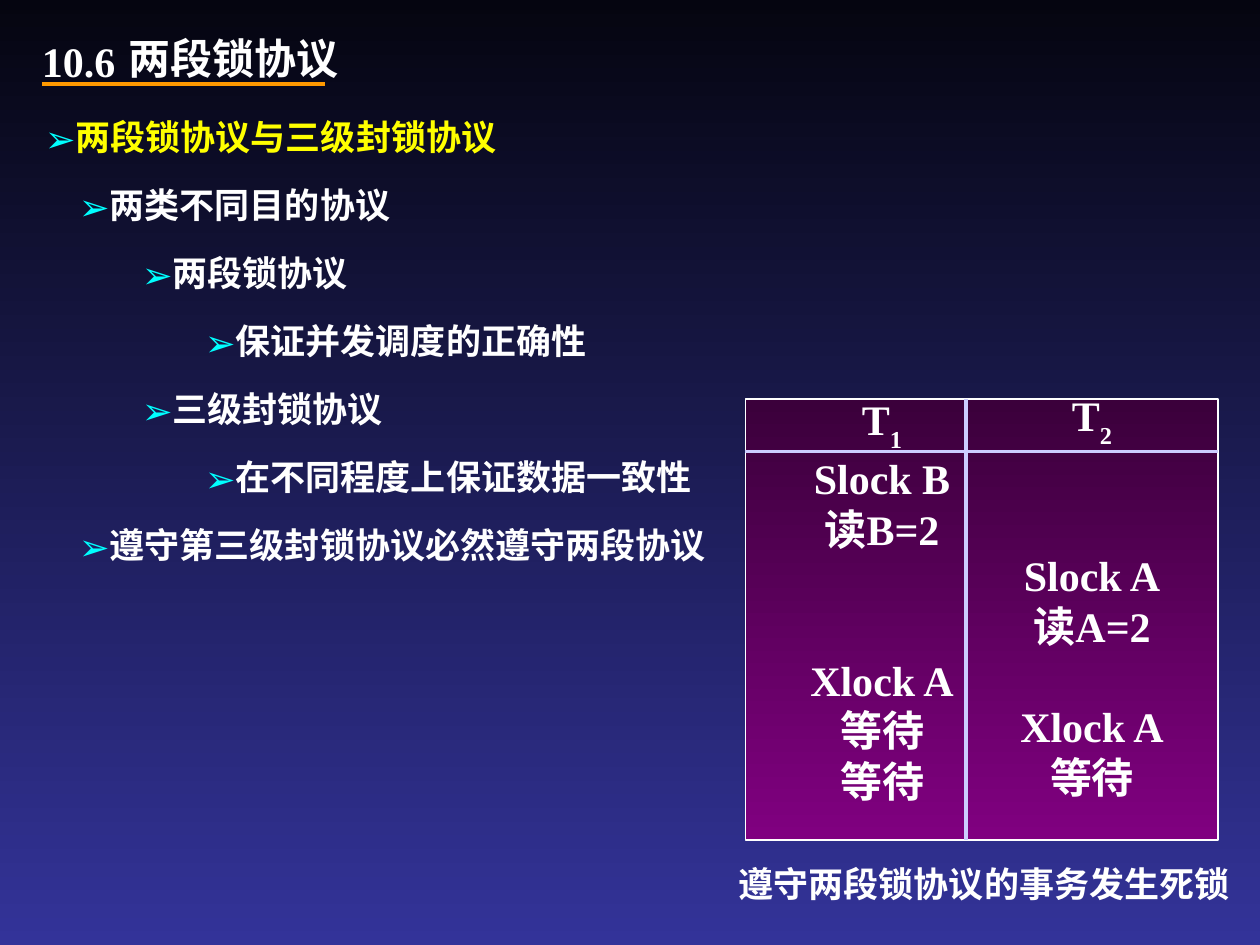
from pptx import Presentation
from pptx.dml.color import RGBColor
from pptx.enum.shapes import MSO_CONNECTOR as CONN, MSO_SHAPE as SHAPE
from pptx.enum.text import MSO_ANCHOR as ANCHOR, PP_ALIGN as ALIGN
from pptx.oxml.ns import qn
from pptx.util import Pt
from lxml.etree import SubElement

SERIF, SANS, BODY = "Times New Roman", "Noto Sans CJK SC", "Karla"
WHITE, YELLOW, CYAN, ORANGE, LILAC = "FFFFFF", "FFFF00", "00FFFF", "FF9900", "CCCCFF"
NUMBER, TITLE = "10.6", "两段锁协议"
CAPTION = "遵守两段锁协议的事务发生死锁"
OUTLINE = [
    (0, "两段锁协议与三级封锁协议"),
    (1, "两类不同目的协议"),
    (2, "两段锁协议"),
    (3, "保证并发调度的正确性"),
    (2, "三级封锁协议"),
    (3, "在不同程度上保证数据一致性"),
    (1, "遵守第三级封锁协议必然遵守两段协议"),
]
ROW = 28.8
SCHEDULE = [
    ("1", 456, 221.3, [(0, "Slock B"), (0, "读B=2"), (2, "Xlock A"), (0, "等待"), (0, "等待")]),
    ("2", 576, 219, [(2, "Slock A"), (0, "读A=2"), (1, "Xlock A"), (0, "等待")]),
]
LEFT, TOP, RIGHT, BOTTOM = 426, 228, 696, 480
HEAD_Y, MID_X = 258, 552


def rgb(color):
    return RGBColor.from_string(color)


def shade(fill, top, bottom):
    fill.gradient()
    fill.gradient_angle = 270
    for stop, color, pos in zip(fill.gradient_stops, (top, bottom), (0, 1)):
        stop.color.rgb = rgb(color)
        stop.position = pos


def style(p, size, font, color=WHITE, east=BODY):
    for r in p.runs:
        r.font.size, r.font.bold, r.font.name = Pt(size), True, font
        r.font.color.rgb = rgb(color)
        SubElement(r._r.get_or_add_rPr(), qn("a:ea"), typeface=east)


def text_box(shapes, x, y, w, h, text, wrap=True, anchor=ANCHOR.TOP):
    tf = shapes.add_textbox(Pt(x), Pt(y), Pt(w), Pt(h)).text_frame
    tf.word_wrap, tf.vertical_anchor, tf.text = wrap, anchor, text
    return tf


def line(shapes, x1, y1, x2, y2, color):
    c = shapes.add_connector(CONN.STRAIGHT, Pt(x1), Pt(y1), Pt(x2), Pt(y2))
    c.line.color.rgb, c.line.width = rgb(color), Pt(2.25)
    SubElement(c._element.spPr, qn("a:effectLst"))


def bullet(p, level):
    pPr = p._p.get_or_add_pPr()
    pPr.set("marL", str(Pt(36 * level)))
    pPr.set("indent", str(Pt(-16.5 if level else 0)))
    SubElement(SubElement(pPr, qn("a:buClr")), qn("a:srgbClr"), val=CYAN)
    SubElement(pPr, qn("a:buSzPct"), val="105000")
    SubElement(pPr, qn("a:buFont"), typeface=SANS)
    SubElement(pPr, qn("a:buChar"), char="➢")


def outline(shapes):
    tf = text_box(shapes, 18.5, 60, 408, 267, "\n".join(t for _, t in OUTLINE))
    for p, (level, _) in zip(tf.paragraphs, OUTLINE):
        p.level, p.line_spacing, p.space_before = level, 1.1, Pt(12.5)
        bullet(p, level)
        style(p, 20, BODY, WHITE if level else YELLOW)


def schedule(shapes):
    panel = shapes.add_shape(SHAPE.RECTANGLE, Pt(LEFT), Pt(TOP), Pt(RIGHT - LEFT), Pt(BOTTOM - TOP))
    panel.shadow.inherit = False
    shade(panel.fill, "3B003B", "800080")
    panel.line.color.rgb, panel.line.width = rgb(WHITE), Pt(0.75)
    for index, x, y, steps in SCHEDULE:
        tf = text_box(shapes, x, y, 96, 260, "\n".join(["T"] + [t for _, t in steps]), wrap=False)
        tf.margin_left = tf.margin_right = 0
        head = tf.paragraphs[0]
        head.add_run().text = index
        for p, (gap, _) in zip(tf.paragraphs, [(0, "")] + steps):
            p.alignment, p.space_before = ALIGN.CENTER, Pt(gap * ROW)
            style(p, 24, SERIF)
        head.runs[1].font._element.set("baseline", "-30000")
    line(shapes, LEFT, HEAD_Y, RIGHT, HEAD_Y, LILAC)
    line(shapes, MID_X, TOP, MID_X, BOTTOM, LILAC)


def main():
    """Build the two-phase locking slide."""
    prs = Presentation()
    prs.slide_width, prs.slide_height = Pt(720), Pt(540)
    s = prs.slides.add_slide(prs.slide_layouts[6])
    shade(s.background.fill, "050510", "333399")

    tf = text_box(s.shapes, 66.5, 12, 264, 42, TITLE, anchor=ANCHOR.MIDDLE)
    style(tf.paragraphs[0], 24, SANS, east=SANS)
    tf = text_box(s.shapes, 12, 22.5, 66, 24, NUMBER, anchor=ANCHOR.MIDDLE)
    tf.paragraphs[0].alignment = ALIGN.CENTER
    style(tf.paragraphs[0], 24, SERIF)
    line(s.shapes, 24, 48, 186, 48, ORANGE)

    schedule(s.shapes.add_group_shape().shapes)

    tf = text_box(s.shapes, 415, 492, 294.5, 29, CAPTION, wrap=False)
    tf.margin_right = 0
    p = tf.paragraphs[0]
    p.line_spacing, p.space_before = 0.9, Pt(12.5)
    style(p, 20, BODY)
    outline(s.shapes)
    prs.save("out.pptx")


if __name__ == "__main__":
    main()
